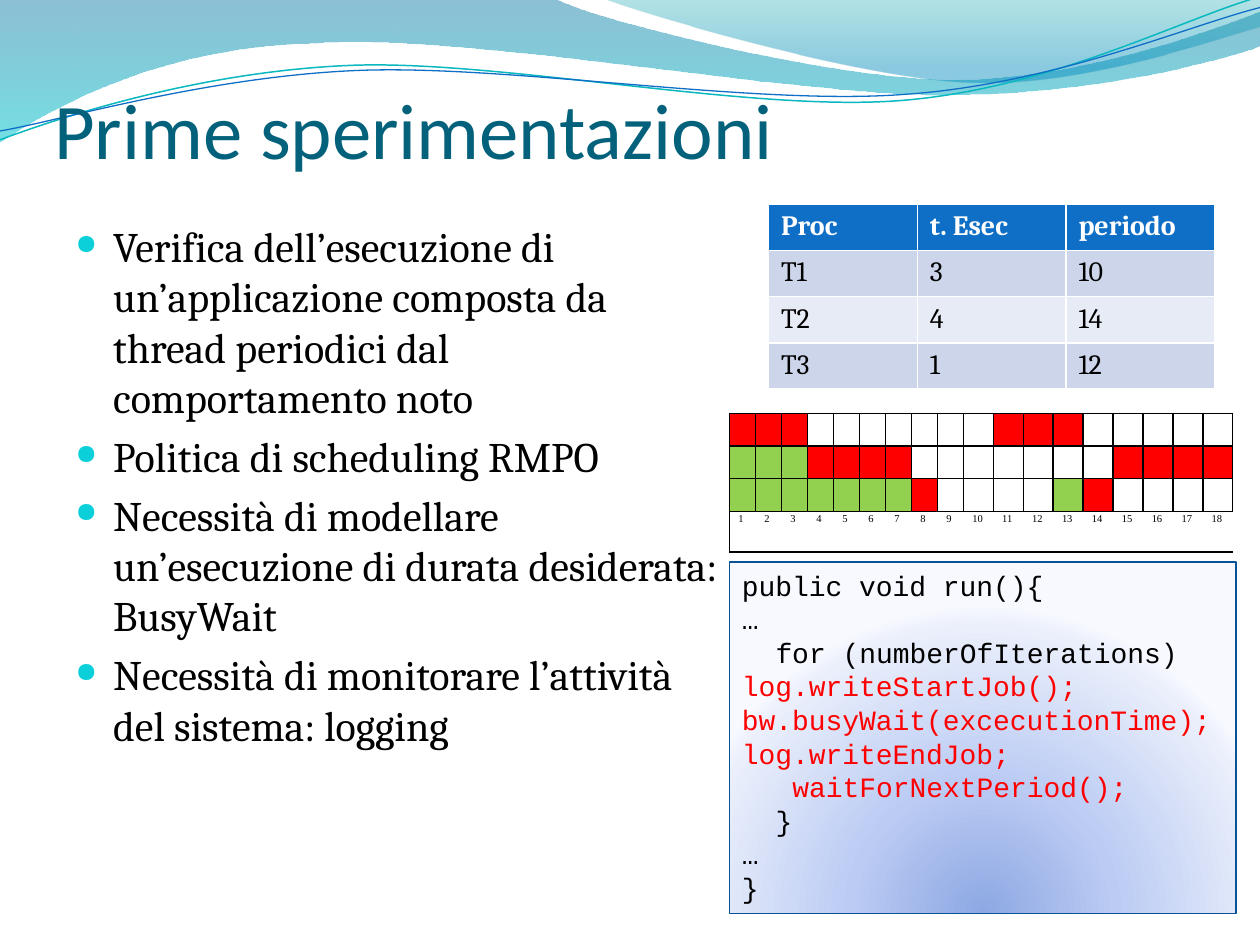
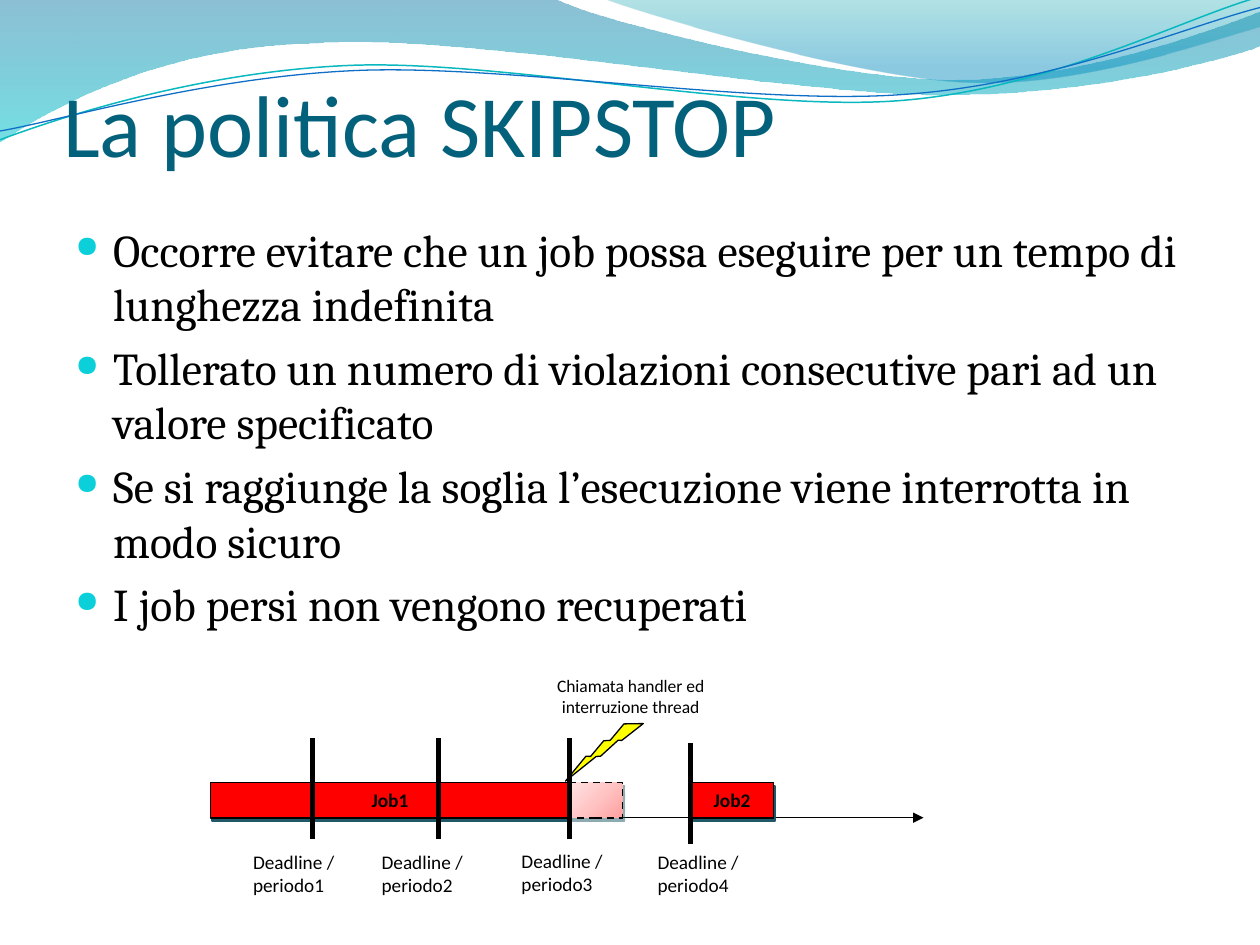
from lxml.etree import SubElement
from pptx import Presentation
from pptx.dml.color import RGBColor
from pptx.enum.dml import MSO_LINE
from pptx.enum.shapes import MSO_CONNECTOR, MSO_SHAPE
from pptx.enum.text import MSO_ANCHOR, MSO_AUTO_SIZE, PP_ALIGN
from pptx.oxml import parse_xml
from pptx.oxml.ns import nsdecls, qn
from pptx.util import Inches, Pt

BLACK = RGBColor(0x00, 0x00, 0x00)
WHITE = RGBColor(0xFF, 0xFF, 0xFF)
RED = RGBColor(0xFF, 0x00, 0x00)
GREEN = RGBColor(0x92, 0xD0, 0x50)
YELLOW = RGBColor(0xFF, 0xFF, 0x00)
BLUE = RGBColor(0x0F, 0x6F, 0xC6)
TEAL = RGBColor(0x0A, 0xB8, 0xBF)
CYAN = RGBColor(0x0B, 0xD0, 0xD9)
NAVY = RGBColor(0x09, 0x52, 0x95)
TITLE = RGBColor(0x04, 0x61, 0x7B)
BAND = RGBColor(0xCC, 0xD5, 0xEA)
PALE = RGBColor(0xE7, 0xEB, 0xF5)
PLAIN = "{2D5ABB26-0587-4C30-8999-92F81FD0307C}"  # no style, no grid

# Shadows: colour, opacity %, blur pt, distance pt, angle
HARD = ("205867", 100, 0, 2.2, 63)
HALF = ("205867", 50, 0, 2.2, 63)

# Waves: a start, then line ends (2 numbers) or curves (6 numbers)
BROAD = [(0, 0), (4.4, -0.01), (4.76, 0.17, 6.64, 0.63, 7.58, 0.63),
         (8.53, 0.63, 9.58, 0.26, 10, 0.09), (10.01, 0.36),
         (9.83, 0.44, 8.7, 0.76, 7.46, 0.75),
         (6.22, 0.75, 3.82, 0.28, 2.57, 0.34),
         (1.29, 0.36, 0.46, 0.83, -0.01, 1.13)]
CREST = [(4.79, -0.01), (5.09, 0.11, 6.82, 0.62, 7.69, 0.65),
         (8.56, 0.69, 9.61, 0.32, 10, 0.21), (10, 0)]
UPPER = [(0, 1.11), (0.48, 0.93, 1.58, 0.57, 2.77, 0.52),
         (3.95, 0.47, 5.93, 0.89, 7.13, 0.8),
         (8.33, 0.71, 9.38, 0.15, 9.98, -0.02)]
LOWER = [(0, 1.04), (0.47, 0.96, 1.64, 0.61, 2.83, 0.56),
         (4.03, 0.51, 5.97, 0.84, 7.17, 0.75),
         (8.36, 0.67, 9.41, 0.21, 10, 0.06)]

# Schedule rows: R runs, W waits, dot is free
PLAN = ["RRR.......RRR.....", "WWWRRRR.......RRRR", "WWWWWWWR....WR...."]
TASKS = [("Proc", "t. Esec", "periodo"), ("T1", "3", "10"),
         ("T2", "4", "14"), ("T3", "1", "12")]
# Code lines: indent in characters, text, colour
CODE = [(0, "public void run(){", BLACK), (0, "…", BLACK),
        (2, "for (numberOfIterations)", BLACK),
        (0, "log.writeStartJob(); bw.busyWait(excecutionTime);", RED),
        (0, "log.writeEndJob;", RED), (3, "waitForNextPeriod();", RED),
        (2, "}", BLACK), (0, "…", BLACK), (0, "}", BLACK)]
GOALS = [
    "Verifica dell’esecuzione di un’applicazione composta da thread "
    "periodici dal comportamento noto",
    "Politica di scheduling RMPO",
    "Necessità di modellare un’esecuzione di durata desiderata: BusyWait",
    "Necessità di monitorare l’attività del sistema: logging"]
RULES = [
    "Occorre evitare che un job possa eseguire per un tempo di lunghezza "
    "indefinita",
    "Tollerato un numero di violazioni consecutive pari ad un valore "
    "specificato",
    "Se si raggiunge la soglia l’esecuzione viene interrotta in modo sicuro",
    "I job persi non vengono recuperati"]


def style(para, name, size, color, bold=False):
    font = para.font
    font.name, font.size, font.bold = name, Pt(size), bold
    font.color.rgb = color


def effect(shape, shade=None):
    """Give the shape one outer shadow, or none at all."""
    box = SubElement(shape.element.spPr, qn("a:effectLst"))
    if shade:
        color, alpha, blur, dist, angle = shade
        outer = SubElement(box, qn("a:outerShdw"), blurRad=str(Pt(blur)),
                           dist=str(Pt(dist)), dir=str(angle * 60000),
                           algn="ctr", rotWithShape="0")
        tint = SubElement(outer, qn("a:srgbClr"), val=color)
        SubElement(tint, qn("a:alpha"), val=str(alpha * 1000))


def blend(shape, stops, focus=None):
    """Gradient of (place, colour, opacity): downward, or round a focus."""
    marks = "".join(
        f'<a:gs pos="{pos * 1000}"><a:srgbClr val="{color}">'
        f'<a:alpha val="{alpha * 1000}"/></a:srgbClr></a:gs>'
        for pos, color, alpha in stops)
    course = '<a:lin ang="5400000" scaled="0"/>'
    if focus:
        rect = " ".join(f'{side}="{part * 1000}"'
                        for side, part in zip("ltrb", focus))
        course = f'<a:path path="circle"><a:fillToRect {rect}/></a:path>'
    shape.fill.gradient()
    old = shape.element.spPr.find(qn("a:gradFill"))
    old.getparent().replace(old, parse_xml(
        f'<a:gradFill {nsdecls("a")} rotWithShape="1">'
        f'<a:gsLst>{marks}</a:gsLst>{course}</a:gradFill>'))


def bend(shape, steps):
    """Turn the straight segments into Bezier curves where steps ask."""
    lines = list(shape.element.spPr.iter(qn("a:lnTo")))
    for line, step in zip(lines, steps):
        if len(step) == 6:
            curve = parse_xml(f'<a:cubicBezTo {nsdecls("a")}/>')
            for x, y in zip(step[::2], step[1::2]):
                SubElement(curve, qn("a:pt"), x=str(Inches(x) - shape.left),
                           y=str(Inches(y) - shape.top))
            line.getparent().replace(line, curve)


def wave(slide, steps, stops=None, color=None, width=0):
    ends = [tuple(map(Inches, step[-2:])) for step in steps]
    outline = slide.shapes.build_freeform(*ends[0])
    outline.add_line_segments(ends[1:], close=bool(stops))
    shape = outline.convert_to_shape()
    bend(shape, steps[1:])
    if stops:
        blend(shape, stops)
        shape.line.fill.background()
    else:
        shape.fill.background()
        shape.line.color.rgb = color
        shape.line.width = Pt(width)
    effect(shape)
    return shape


def add_waves(slide):
    """Draw the waves and move them to the layout that slides share."""
    waves = [wave(slide, BROAD, [(0, "0074A1", 45), (100, "00C6CF", 55)]),
             wave(slide, CREST, [(0, "00A1A9", 30), (80, "008BBF", 45)]),
             wave(slide, UPPER, color=TEAL, width=0.85),
             wave(slide, LOWER, color=BLUE, width=0.75)]
    tree = slide.slide_layout.shapes.element
    for i, shape in enumerate(waves):
        tree.insert(2 + i, shape.element)


def set_title(slide, text, size, *place):
    title = slide.shapes.title
    title.left, title.top, title.width, title.height = map(Inches, place)
    frame = title.text_frame
    frame.text = text
    frame.auto_size = MSO_AUTO_SIZE.NONE
    frame.vertical_anchor = MSO_ANCHOR.BOTTOM
    frame.margin_left = frame.margin_right = frame.margin_bottom = 0
    frame.margin_top = Inches(0.05)
    frame.paragraphs[0].alignment = PP_ALIGN.LEFT
    style(frame.paragraphs[0], "Calibri", size, TITLE)


def add_list(slide, items, size, *place):
    frame = slide.shapes.add_textbox(*map(Inches, place)).text_frame
    frame.word_wrap = True
    frame.text = "\n".join(items)
    for para in frame.paragraphs:
        para.space_before = Pt(size * 0.2)
        props = para._p.get_or_add_pPr()
        props.set("marL", str(Inches(0.3)))
        props.set("indent", str(Inches(-0.3)))
        tint = SubElement(props, qn("a:buClr"))
        SubElement(tint, qn("a:srgbClr"), val=str(CYAN))
        SubElement(props, qn("a:buSzPct"), val="66000")
        SubElement(props, qn("a:buChar"), char="●")
        style(para, "Cambria", size, BLACK)


def add_box(slide, place, fill=None, line=None, width=1, shade=None,
            kind=MSO_SHAPE.RECTANGLE):
    box = slide.shapes.add_shape(kind, *map(Inches, place))
    if fill is not None:
        box.fill.solid()
        box.fill.fore_color.rgb = fill
    if line is None:
        box.line.fill.background()
    else:
        box.line.color.rgb = line
        box.line.width = Pt(width)
    effect(box, shade)
    return box


def write(box, text, size, bold=False, align=PP_ALIGN.LEFT,
          anchor=MSO_ANCHOR.TOP):
    frame = box.text_frame
    frame.text, frame.word_wrap, frame.vertical_anchor = text, True, anchor
    frame.paragraphs[0].alignment = align
    style(frame.paragraphs[0], "Calibri", size, BLACK, bold)


def add_line(slide, start, end, width, arrow=False):
    line = slide.shapes.add_connector(MSO_CONNECTOR.STRAIGHT,
                                      *map(Inches, start + end))
    line.line.color.rgb = BLACK
    line.line.width = Pt(width)
    if arrow:
        SubElement(line.element.spPr.find(qn("a:ln")), qn("a:tailEnd"),
                   type="triangle")
    effect(line)


def border(cell, sides):
    """Draw thin black borders; sides keep the order L, R, T, B."""
    props = cell._tc.get_or_add_tcPr()
    for i, side in enumerate(sides):
        props.insert(i, parse_xml(
            f'<a:ln{side} {nsdecls("a")} w="{Pt(1)}"><a:solidFill>'
            f'<a:srgbClr val="{BLACK}"/></a:solidFill></a:ln{side}>'))


def add_grid(slide, place, widths, heights):
    grid = slide.shapes.add_table(len(heights), len(widths),
                                  *map(Inches, place)).table
    for col, width in zip(grid.columns, widths):
        col.width = Inches(width)
    for row, height in zip(grid.rows, heights):
        row.height = Inches(height)
    return grid


def paint(cell, color):
    cell.fill.solid()
    cell.fill.fore_color.rgb = color


def add_plan(slide):
    grid = add_grid(slide, (5.79, 3.28, 4, 1.1),
                    [1.86 / 9] * 9 + [2.14 / 9] * 9, [0.26] * 3 + [0.32])
    grid.first_row = grid.horz_banding = False
    grid._tbl.tblPr.find(qn("a:tableStyleId")).text = PLAIN
    tints = {"R": RED, "W": GREEN, ".": WHITE}
    for r, row in enumerate(grid.rows):
        for c, cell in enumerate(row.cells):
            cell.margin_left = cell.margin_right = Inches(0.07)
            cell.margin_top = cell.margin_bottom = 0
            para = cell.text_frame.paragraphs[0]
            para.line_spacing = 1.15
            style(para, "Times New Roman", 6, BLACK)
            if r < len(PLAN):
                SubElement(para._p, qn("a:endParaRPr"), sz="600")
                paint(cell, tints[PLAN[r][c]])
                border(cell, "LRTB")
            else:
                para.text = str(c + 1)
                cell.fill.background()
                border(cell, "TB" if c else "LTB")


def add_tasks(slide):
    grid = add_grid(slide, (6.1, 1.62, 3.54, 1.41), [1.18] * 3, [0.35] * 4)
    for r, row in enumerate(TASKS):
        for c, text in enumerate(row):
            cell = grid.cell(r, c)
            cell.text = text
            style(cell.text_frame.paragraphs[0], "Cambria", 16,
                  BLACK if r else WHITE, r == 0)
            paint(cell, (PALE, BAND)[r % 2] if r else BLUE)


def add_code(slide):
    box = add_box(slide, (5.79, 4.46, 4.02, 2.79), line=NAVY, width=0.75)
    blend(box, [(0, "8DA8E3", 100), (43, "BBCBF3", 100),
                (93, "EAEFFB", 100), (100, "F7F9FF", 100)],
          (50, 130, 50, -30))
    frame = box.text_frame
    frame.word_wrap, frame.vertical_anchor = True, MSO_ANCHOR.TOP
    frame.text = "\n".join(text for _, text, _ in CODE)
    for para, (depth, _, color) in zip(frame.paragraphs, CODE):
        para.alignment = PP_ALIGN.LEFT
        para._p.get_or_add_pPr().set("marL", str(Pt(9.6 * depth)))
        style(para, "Courier New", 16, color)


def add_time(slide):
    """Draw the timeline of jobs and deadlines."""
    add_line(slide, (1.67, 6.49), (7.33, 6.49), 0.75, arrow=True)
    for text, left, width in (("Job1", 1.67, 2.85), ("Job2", 5.48, 0.66)):
        job = add_box(slide, (left, 6.21, width, 0.28), RED, BLACK,
                      shade=HARD)
        write(job, text, 11, True, PP_ALIGN.CENTER, MSO_ANCHOR.MIDDLE)
    for i, left in enumerate((1.91, 2.93, 4.04, 5.12), 1):
        top = 6.69 if i == 3 else 6.7
        label = add_box(slide, (left, top, 1.02, 0.51), WHITE)
        write(label, f"Deadline / periodo{i}", 11)
    rest = add_box(slide, (4.52, 6.21, 0.42, 0.28), line=BLACK, shade=HALF)
    rest.line.dash_style = MSO_LINE.DASH
    blend(rest, [(0, "FFA0A0", 100), (50, "FFC5C5", 100),
                 (100, "FFE3E3", 100)], (100, 100, 0, 0))
    bolt = add_box(slide, (4.69, 5.56, 0.18, 0.76), YELLOW, BLACK, 0.75,
                   kind=MSO_SHAPE.LIGHTNING_BOLT)
    bolt.rotation = 61.7
    call = add_box(slide, (4.19, 5.31, 1.63, 0.42), WHITE)
    write(call, "Chiamata handler ed interruzione thread", 10,
          align=PP_ALIGN.CENTER)
    for x, top in ((2.48, 5.86), (3.48, 5.86), (4.52, 5.86), (5.48, 5.9)):
        add_line(slide, (x, top + 0.8), (x, top), 3)


def main():
    prs = Presentation()
    prs.slide_width, prs.slide_height = Inches(10), Inches(7.5)
    layout = prs.slide_layouts[5]

    tests = prs.slides.add_slide(layout)
    add_waves(tests)
    set_title(tests, "Prime sperimentazioni", 45, 0.43, 0.52, 9, 0.87)
    add_list(tests, GOALS, 24, 0.5, 1.7, 5.37, 5.21)
    add_plan(tests)
    add_tasks(tests)
    add_code(tests)

    skip = prs.slides.add_slide(layout)
    set_title(skip, "La politica SKIPSTOP", 50, 0.5, 0.36, 9, 1.03)
    add_list(skip, RULES, 26, 0.5, 1.71, 9, 5.43)
    add_time(skip)
    prs.save("out.pptx")


if __name__ == "__main__":
    main()
